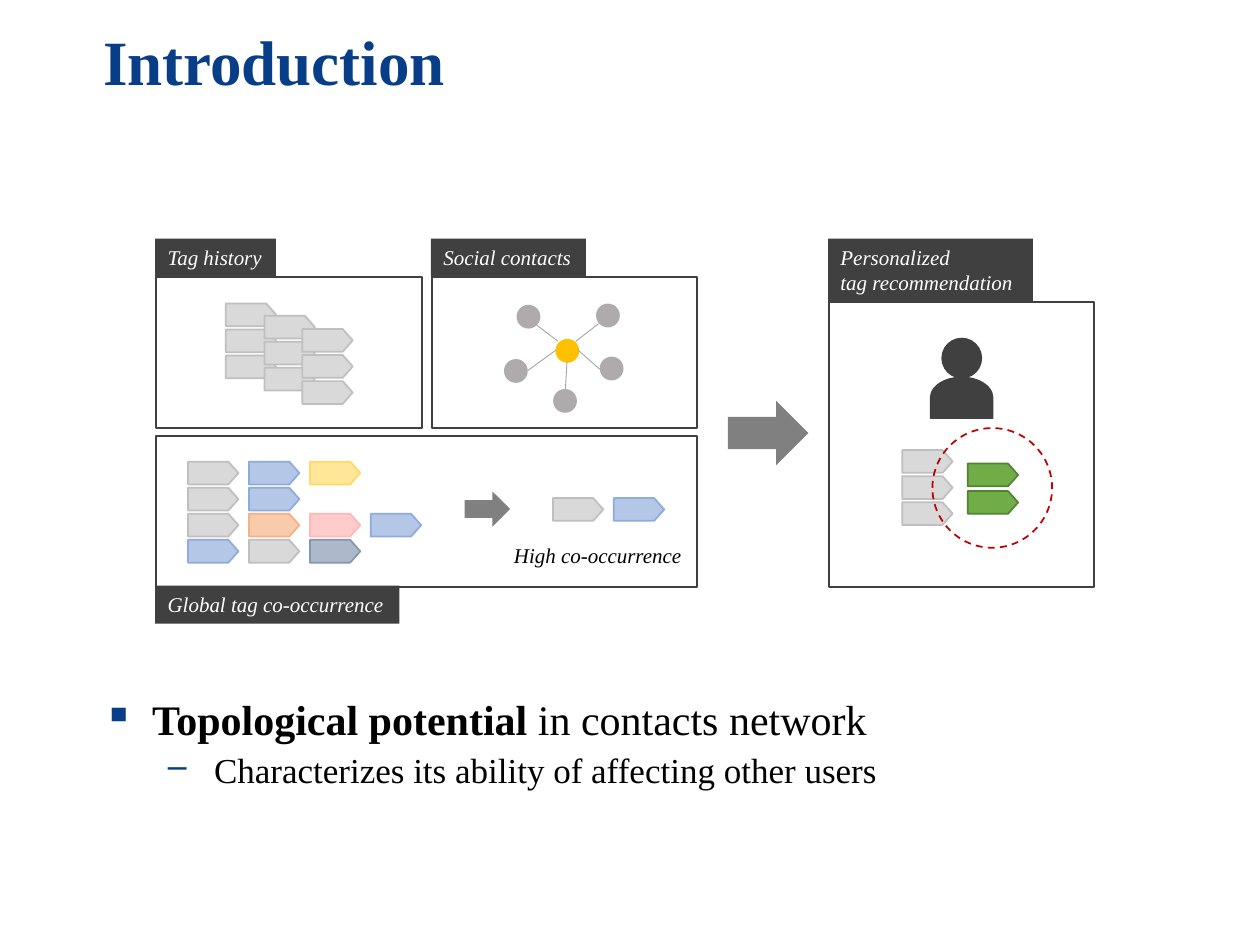
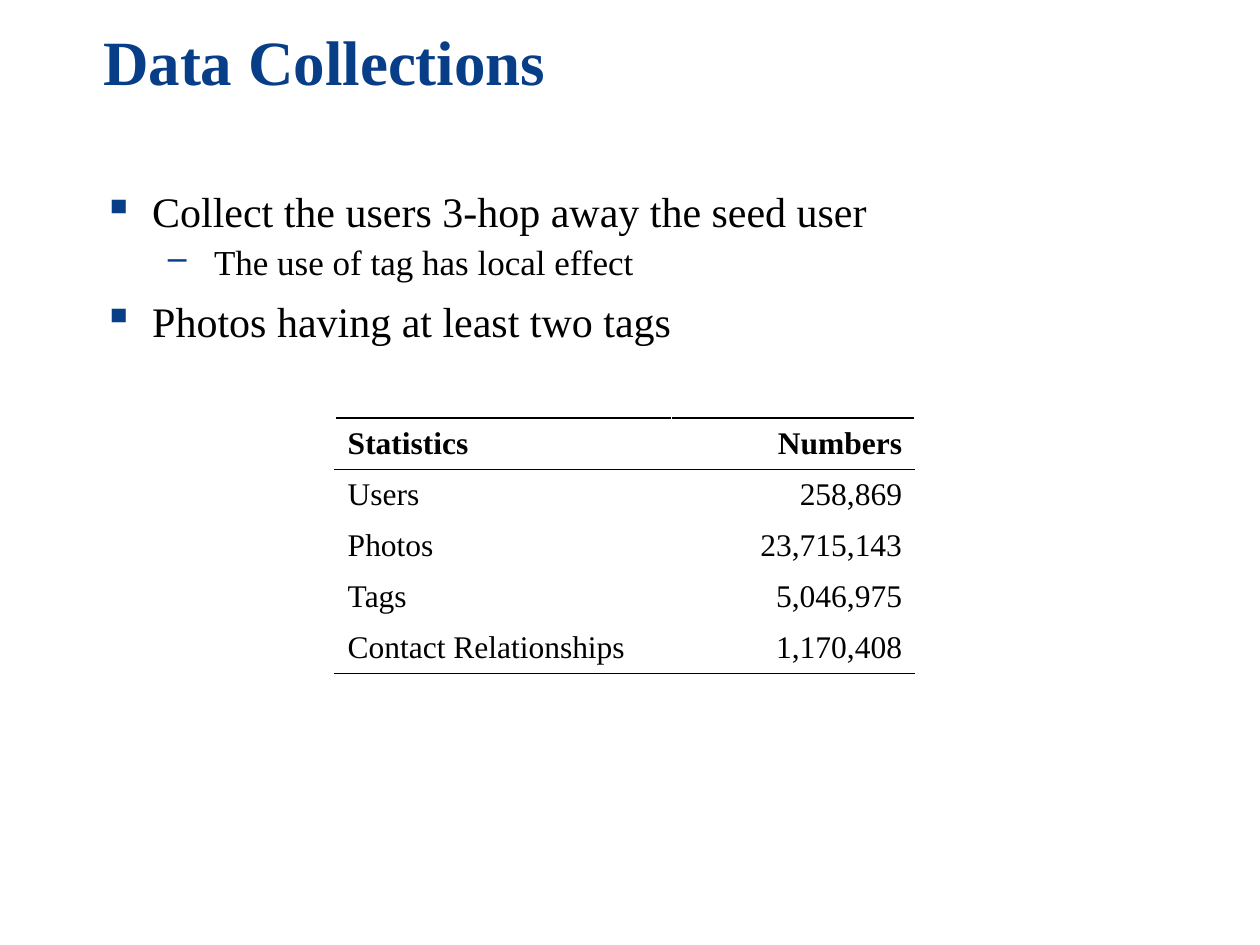
from lxml.etree import SubElement
from pptx import Presentation
from pptx.dml.color import RGBColor
from pptx.enum.dml import MSO_LINE
from pptx.enum.shapes import MSO_CONNECTOR, MSO_SHAPE
from pptx.enum.text import MSO_ANCHOR, PP_ALIGN
from pptx.oxml.ns import qn
from pptx.util import Pt

NAVY = RGBColor(0x08, 0x3E, 0x88)
BLACK = RGBColor(0x00, 0x00, 0x00)
WHITE = RGBColor(0xFF, 0xFF, 0xFF)
DARK = RGBColor(0x40, 0x40, 0x40)
ARROW_GRAY = RGBColor(0x80, 0x80, 0x80)
NODE_GRAY = RGBColor(0xAF, 0xAB, 0xAB)
LINK_GRAY = RGBColor(0xA5, 0xA5, 0xA5)
GOLD = RGBColor(0xFF, 0xC0, 0x00)
RED = RGBColor(0xC0, 0x00, 0x00)

# Tag colours: fill and outline
GRAY_TAG = RGBColor(0xD9, 0xD9, 0xD9), RGBColor(0xBF, 0xBF, 0xBF)
BLUE_TAG = RGBColor(0xB4, 0xC7, 0xE7), RGBColor(0x8F, 0xAA, 0xDC)
YELLOW_TAG = RGBColor(0xFF, 0xE6, 0x99), RGBColor(0xFF, 0xD9, 0x66)
ORANGE_TAG = RGBColor(0xF8, 0xCB, 0xAD), RGBColor(0xF4, 0xB1, 0x83)
PINK_TAG = RGBColor(0xFF, 0xCC, 0xCC), RGBColor(0xFF, 0xB7, 0xB7)
SLATE_TAG = RGBColor(0xAD, 0xB9, 0xCA), RGBColor(0x84, 0x97, 0xB0)
GREEN_TAG = RGBColor(0x70, 0xAD, 0x47), RGBColor(0x54, 0x82, 0x35)

FONT = "Times New Roman"
TITLE_FORMAT = {"name": FONT, "size": Pt(36), "bold": True}
LABEL_FORMAT = {"name": FONT, "size": Pt(12), "italic": True}
CELL_FORMAT = {"name": FONT, "size": Pt(18)}
# Per bullet level: character, left margin, hanging indent, space before, size
LEVELS = [("▪", 28.1, 28.1, 10, 24), ("‒", 63.4, 27.4, 5, 20)]


def add_figure(page, kind, left, top, width, height, fill=None, line=None, rotation=0):
    figure = page.shapes.add_shape(kind, Pt(left), Pt(top), Pt(width), Pt(height))
    figure.shadow.inherit = False
    figure.rotation = rotation
    for paint, color in ((figure.fill, fill), (figure.line.fill, line)):
        if color is None:
            paint.background()
        else:
            paint.solid()
            paint.fore_color.rgb = color
    if line is not None:
        figure.line.width = Pt(1)
    return figure


def add_span(para, text, values, color):
    for number, piece in enumerate(text.split("\n")):
        if number:
            para.add_line_break()
        span = para.add_run()
        span.text = piece
        for name, value in values.items():
            setattr(span.font, name, value)
        span.font.color.rgb = color


deck = Presentation()
deck.slide_width, deck.slide_height = Pt(720), Pt(540)

# Titles and bullets: each bullet is a level and its (text, bold) parts
outlines = [
    ("Introduction", 396.1, [
        (0, [("Topological potential", True), (" in contacts network", False)]),
        (1, [("Characterizes its ability of affecting other users", False)]),
    ]),
    ("Data Collections", 105.8, [
        (0, [("Collect the users 3-hop away the seed user", False)]),
        (1, [("The use of tag has local effect", False)]),
        (0, [("Photos having at least two tags", False)]),
    ]),
]
for title, body_top, bullets in outlines:
    page = deck.slides.add_slide(deck.slide_layouts[6])
    box = page.shapes.add_textbox(Pt(51.8), Pt(7.2), Pt(610), Pt(59.8))
    box.text_frame.word_wrap = True
    box.text_frame.vertical_anchor = MSO_ANCHOR.MIDDLE
    para = box.text_frame.paragraphs[0]
    para.line_spacing = 0.9
    add_span(para, title, TITLE_FORMAT, NAVY)

    box = page.shapes.add_textbox(Pt(51.8), Pt(body_top), Pt(653.8), Pt(517.7 - body_top))
    box.text_frame.word_wrap = True
    for number, (level, parts) in enumerate(bullets):
        para = box.text_frame.add_paragraph() if number else box.text_frame.paragraphs[0]
        mark, margin, hanging, space, size = LEVELS[level]
        settings = para._p.get_or_add_pPr()
        settings.set("marL", str(Pt(margin)))
        settings.set("indent", str(-Pt(hanging)))
        tint = SubElement(settings, qn("a:buClr"))
        SubElement(tint, qn("a:srgbClr")).set("val", str(NAVY))
        SubElement(settings, qn("a:buChar")).set("char", mark)
        para.level = level
        para.line_spacing = 0.9
        if number:
            para.space_before = Pt(space)
        for text, bold in parts:
            add_span(para, text, {"name": FONT, "size": Pt(size), "bold": bold}, BLACK)

introduction, collections = deck.slides

# Panels and their labels
for left, top, width, height in [
    (89.3, 249.1, 308.9, 86.4),
    (89.3, 158.4, 151.9, 86.4),
    (247, 158.4, 151.2, 86.4),
    (473.8, 172.8, 151.2, 162.7),
]:
    add_figure(introduction, MSO_SHAPE.RECTANGLE, left, top, width, height, line=DARK)
for text, left, top, width, height, fill, color in [
    ("Tag history", 88.7, 136.3, 69, 21.8, DARK, WHITE),
    ("Social contacts", 246.3, 136.3, 88.5, 21.8, DARK, WHITE),
    ("Global tag co-occurrence", 88.7, 334.6, 139.5, 21.8, DARK, WHITE),
    ("Personalized\ntag recommendation", 473.2, 136.3, 117, 36.3, DARK, WHITE),
    ("High co-occurrence", 286.6, 306.7, 110.9, 21.8, None, BLACK),
]:
    label = add_figure(introduction, MSO_SHAPE.RECTANGLE, left, top, width, height, fill)
    label.text_frame.word_wrap = False
    label.text_frame.vertical_anchor = MSO_ANCHOR.TOP
    para = label.text_frame.paragraphs[0]
    para.alignment = PP_ALIGN.LEFT
    add_span(para, text, LABEL_FORMAT, color)

# Tags: the history piles, the co-occurrence grid and the recommendation
TAG_LENGTH, TAG_HEIGHT, ROW_STEP, COLUMN_STEP = 28.8, 13, 14.9, 34.8
tags = []
for left, top in [(129.1, 173.4), (151.2, 180.4), (172.8, 188)]:
    tags += [(left, top + row * ROW_STEP, GRAY_TAG) for row in range(3)]
tag_rows = [
    [GRAY_TAG, BLUE_TAG, YELLOW_TAG],
    [GRAY_TAG, BLUE_TAG],
    [GRAY_TAG, ORANGE_TAG, PINK_TAG, BLUE_TAG],
    [BLUE_TAG, GRAY_TAG, SLATE_TAG],
]
for row, colors in enumerate(tag_rows):
    for column, colors_of_tag in enumerate(colors):
        tags.append((107.5 + column * COLUMN_STEP, 263.8 + row * ROW_STEP, colors_of_tag))
tags += [(316 + column * COLUMN_STEP, 284.6, colors)
         for column, colors in enumerate([GRAY_TAG, BLUE_TAG])]
tags += [(515.6, 257.2 + row * ROW_STEP, GRAY_TAG) for row in range(3)]
tags += [(553, 264.9 + row * 15.7, GREEN_TAG) for row in range(2)]
# The connector shape points down, so it is turned about its centre
turn = (TAG_LENGTH - TAG_HEIGHT) / 2
for left, top, (fill, line) in tags:
    add_figure(introduction, MSO_SHAPE.FLOWCHART_OFFPAGE_CONNECTOR, left + turn, top - turn,
               TAG_HEIGHT, TAG_LENGTH, fill, line, 270)
circle = add_figure(introduction, MSO_SHAPE.OVAL, 532.8, 244.6, 68.4, 68.4, line=RED)
circle.line.dash_style = MSO_LINE.DASH

# Social network: contacts around the user, with their links
contacts = [
    # left, top, link start, link end
    (340.6, 173.5, (342, 185), (329, 195.1)),
    (342.7, 203.8, (342.7, 211), (330.5, 200.2)),
    (316.1, 222.3, (323.1, 222.3), (324, 206.6)),
    (288, 205.2, (301.7, 211.7), (317.5, 200.2)),
    (295.2, 174.2, (306.7, 185.8), (319, 195.1)),
]
add_figure(introduction, MSO_SHAPE.OVAL, 317.4, 193.7, 13.6, 13.6, GOLD)
for left, top, start, end in contacts:
    add_figure(introduction, MSO_SHAPE.OVAL, left, top, 13.6, 13.6, NODE_GRAY)
    link = introduction.shapes.add_connector(
        MSO_CONNECTOR.STRAIGHT, *[Pt(length) for length in start + end])
    link.line.color.rgb = LINK_GRAY
    link.line.width = Pt(0.5)
    SubElement(link._element.spPr, qn("a:effectLst"))

# Arrows and the person
add_figure(introduction, MSO_SHAPE.RIGHT_ARROW, 265.5, 280.8, 26, 20.2, ARROW_GRAY)
add_figure(introduction, MSO_SHAPE.RIGHT_ARROW, 415.9, 229, 46.1, 36.9, ARROW_GRAY)
add_figure(introduction, MSO_SHAPE.OVAL, 538.4, 193.5, 22.3, 22.3, DARK, DARK)
add_figure(introduction, MSO_SHAPE.FLOWCHART_DELAY, 537.9, 209.6, 23.2, 35.4, DARK, DARK, 270)

# Statistics table
statistics = [
    ("Statistics", "Numbers"),
    ("Users", "258,869"),
    ("Photos", "23,715,143"),
    ("Tags", "5,046,975"),
    ("Contact Relationships", "1,170,408"),
]
table = collections.shapes.add_table(
    len(statistics), 2, Pt(191.5), Pt(239), Pt(331.2), Pt(146)).table
table.first_row = table.horz_banding = False
for column, width in zip(table.columns, (192.2, 139)):
    column.width = Pt(width)
ruled_edges = {0: ("a:lnT", "a:lnB"), 1: ("a:lnT",), len(statistics) - 1: ("a:lnB",)}
for row, values in enumerate(statistics):
    table.rows[row].height = Pt(29.2)
    for column, text in enumerate(values):
        cell = table.cell(row, column)
        for edge in ruled_edges.get(row, ()):
            border = SubElement(cell._tc.get_or_add_tcPr(), qn(edge), w=str(Pt(1)))
            paint = SubElement(border, qn("a:solidFill"))
            SubElement(paint, qn("a:srgbClr")).set("val", str(BLACK))
        cell.fill.solid()
        cell.fill.fore_color.rgb = WHITE
        cell.vertical_anchor = MSO_ANCHOR.MIDDLE
        para = cell.text_frame.paragraphs[0]
        para.alignment = PP_ALIGN.RIGHT if column else PP_ALIGN.LEFT
        add_span(para, text, {**CELL_FORMAT, "bold": row == 0}, BLACK)

deck.save("out.pptx")
